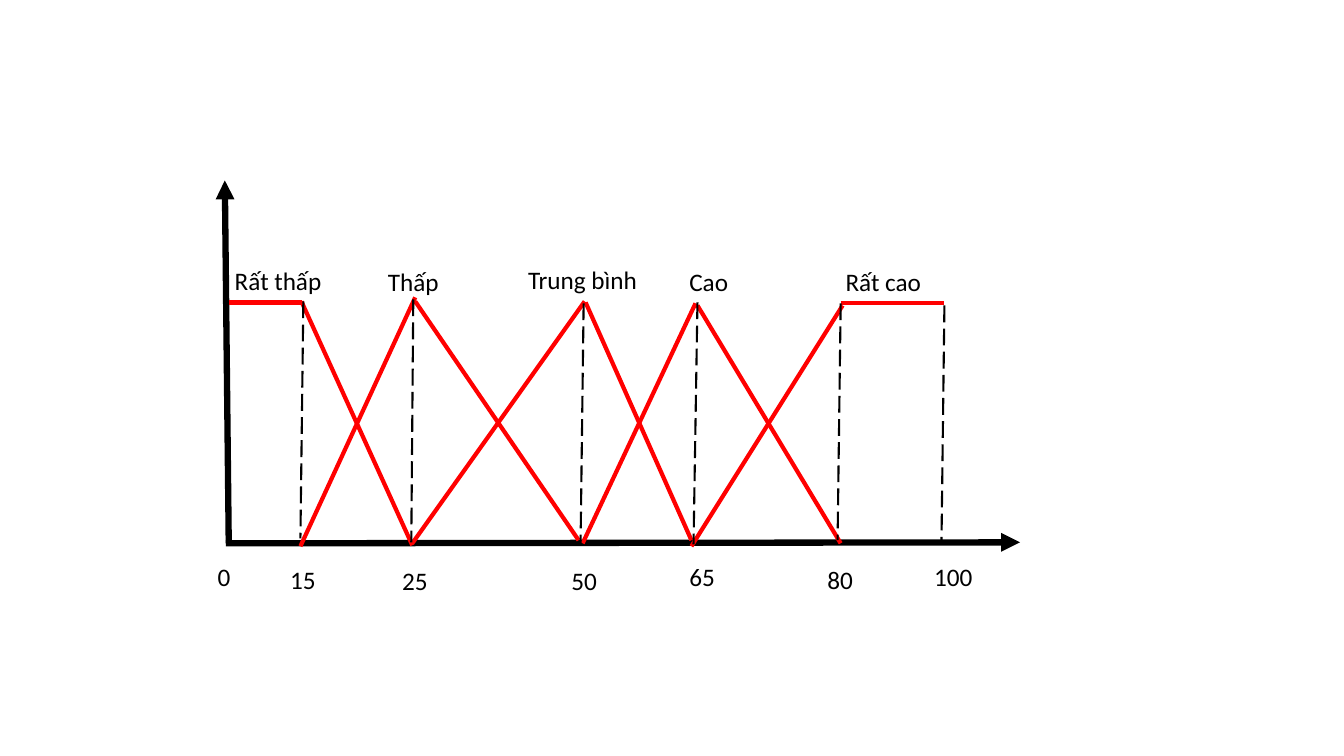
from typing import NamedTuple

from lxml import etree
from pptx import Presentation
from pptx.dml.color import RGBColor
from pptx.enum import dml, shapes, text
from pptx.oxml import ns
from pptx.util import Pt

BLACK = RGBColor(0, 0, 0)
RED = RGBColor(255, 0, 0)
LABEL_HEIGHT = 29.08


class Segment(NamedTuple):
    x1: float
    y1: float
    x2: float
    y2: float


class Label(NamedTuple):
    wording: str
    left: float
    top: float
    width: float


class Stroke(NamedTuple):
    color: RGBColor
    width: float
    dashed: bool = False
    arrow: bool = False


AXIS = Stroke(BLACK, 4.5, arrow=True)
MEMBERSHIP = Stroke(RED, 3)
GUIDE = Stroke(BLACK, 1.5, dashed=True)

AXES = [
    Segment(161.3, 388.1, 728.6, 387.4),
    Segment(163.4, 388.1, 160.6, 128.9),
]
MEMBERSHIP_EDGES = [
    Segment(163.4, 216, 216, 216),
    Segment(215.3, 215.3, 294.5, 389.5),
    Segment(296.6, 215.3, 413.3, 385.9),
    Segment(418.3, 216, 493.9, 385.9),
    Segment(498.2, 218.2, 600.5, 388.1),
    Segment(296.6, 212.4, 214.6, 390.2),
    Segment(417.6, 215.3, 294.5, 388.1),
    Segment(496.8, 216.7, 416.2, 388.1),
    Segment(601.9, 218.2, 493.9, 390.2),
    Segment(600.5, 216.7, 674.6, 216.7),
]
GUIDES = [
    Segment(216.7, 215.3, 214.6, 384.5),
    Segment(295.2, 213.8, 293.8, 387.4),
    Segment(416.9, 216.7, 414.7, 389.5),
    Segment(498.2, 216, 495.4, 388.8),
    Segment(600.5, 216.7, 598.3, 385.9),
    Segment(674.6, 218.2, 672.5, 387.4),
]
SET_NAMES = [
    Label("Rất thấp", 160.6, 185.8, 77),
    Label("Thấp", 270, 186.5, 51.1),
    Label("Trung bình", 370.1, 185, 93.6),
    Label("Cao", 485.3, 186.5, 42.5),
    Label("Rất cao", 596.9, 186.5, 69.1),
]
TICKS = [
    Label("0", 148.3, 397.4, 23.8),
    Label("15", 200.2, 399.6, 33.1),
    Label("25", 280.1, 400.3, 33.1),
    Label("50", 401, 400.3, 33.1),
    Label("65", 485.3, 397.4, 33.1),
    Label("80", 583.9, 399.6, 33.1),
    Label("100", 660.2, 397.4, 42.5),
]


def draw_segment(page, segment: Segment, stroke: Stroke) -> None:
    line = page.shapes.add_connector(
        shapes.MSO_CONNECTOR.STRAIGHT, *(Pt(value) for value in segment)
    )
    line.line.color.rgb = stroke.color
    line.line.width = Pt(stroke.width)
    if stroke.dashed:
        line.line.dash_style = dml.MSO_LINE.LONG_DASH
    properties = line.element.spPr
    if stroke.arrow:
        outline = properties.find(ns.qn("a:ln"))
        etree.SubElement(outline, ns.qn("a:tailEnd"), type="triangle")
    etree.SubElement(properties, ns.qn("a:effectLst"))


def draw_label(page, label: Label) -> None:
    box = page.shapes.add_textbox(
        Pt(label.left), Pt(label.top), Pt(label.width), Pt(LABEL_HEIGHT)
    )
    frame = box.text_frame
    frame.word_wrap = False
    frame.auto_size = text.MSO_AUTO_SIZE.SHAPE_TO_FIT_TEXT
    para = frame.paragraphs[0]
    para.text = label.wording
    para.font.name = "Calibri"
    para.font.size = Pt(18)
    para.font.color.rgb = BLACK


def main() -> None:
    deck = Presentation()
    deck.slide_width, deck.slide_height = Pt(960), Pt(540)
    page = deck.slides.add_slide(deck.slide_layouts[6])
    for segments, stroke in (
        (AXES, AXIS),
        (MEMBERSHIP_EDGES, MEMBERSHIP),
        (GUIDES, GUIDE),
    ):
        for segment in segments:
            draw_segment(page, segment, stroke)
    for label in SET_NAMES + TICKS:
        draw_label(page, label)
    deck.save("out.pptx")


if __name__ == "__main__":
    main()
